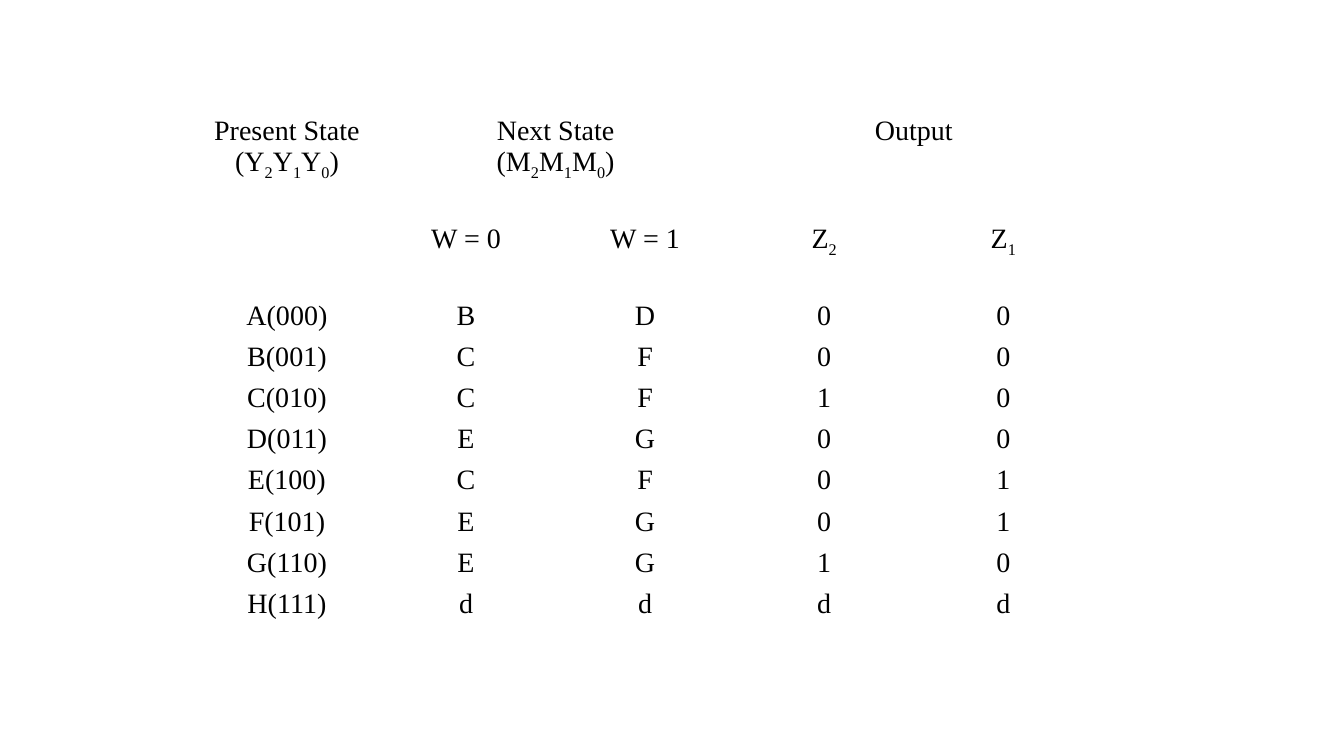
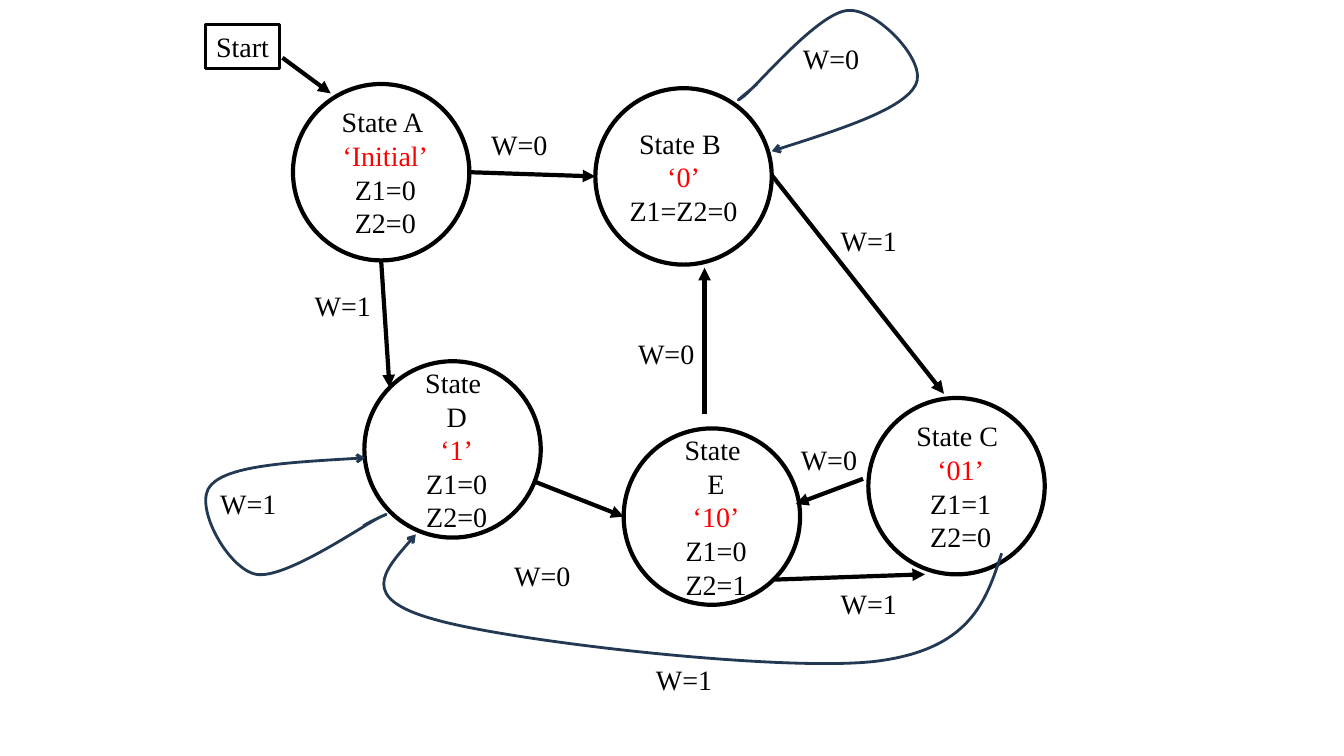
import lxml.etree
import pptx
import pptx.dml.color
import pptx.enum.shapes
import pptx.enum.text
import pptx.oxml.ns
import pptx.util

PX = 9525  # EMU in one px
FONT = "Times New Roman"
BLACK, RED, NAVY = "000000", "FF0000", "233953"
STATE_SIZE = 168
SHAPES = pptx.enum.shapes.MSO_SHAPE
CENTER = pptx.enum.text.PP_ALIGN.CENTER
MIDDLE = pptx.enum.text.MSO_ANCHOR.MIDDLE

TABLE_ROWS = [
    [["Present State", "(Y_2Y_1Y_0)"], ["Next State", "(M_2M_1M_0)"], [], ["Output"], []],
    [[], ["W = 0"], ["W = 1"], ["Z_2"], ["Z_1"]],
] + [[[value] for value in row.split()] for row in (
    "A(000) B D 0 0",
    "B(001) C F 0 0",
    "C(010) C F 1 0",
    "D(011) E G 0 0",
    "E(100) C F 0 1",
    "F(101) E G 0 1",
    "G(110) E G 1 0",
    "H(111) d d d d",
)]
HEADER_HEIGHTS = [103, 73]
ROW_HEIGHT = 39

# left, top, left inset, lines (the quoted one is red)
STATES = [
    (279, 80, 8, ["State A ", "‘Initial’", "Z1=0", "Z2=0"]),
    (567, 84, 0, ["State B ", "‘0’", "Z1=Z2=0"]),
    (827, 379, 8, ["State C ", "‘01’", "Z1=1", "Z2=0"]),
    (347, 344, 8, ["State ", "D", "‘1’", "Z1=0", "Z2=0"]),
    (594, 408, 8, ["State ", "E", "‘10’", "Z1=0", "Z2=1"]),
]
ARROWS = [
    (269, 55, 315, 89),    # Start to A
    (447, 164, 567, 168),  # A to B
    (363, 248, 371, 369),  # A to D
    (736, 168, 899, 375),  # B to C
    (822, 456, 758, 480),  # C to E
    (510, 459, 594, 492),  # D to E
    (671, 394, 671, 255),  # E to B
    (738, 552, 881, 547),  # E to C
]
# start point, then three Bézier points for each segment
CURVES = [
    [(721, 80), (717, 84), (693, 103), (708, 92), (722, 81), (780, 11), (808, 10),
     (835, 8), (884, 59), (872, 81), (860, 104), (798, 124), (735, 144)],    # B to B
    [(346, 501), (351, 497), (379, 485), (363, 492), (346, 500), (272, 552), (244, 547),
     (217, 542), (183, 480), (201, 462), (218, 443), (283, 440), (348, 436)],  # D to D
    [(954, 527), (939, 573), (924, 619), (833, 630), (742, 640), (487, 611), (414, 590),
     (341, 570), (369, 540), (396, 509)],                                    # C to D
]
LABELS = [
    (458, 117, "W=0"), (290, 270, "W=1"), (755, 35, "W=0"), (791, 208, "W=1"),
    (598, 316, "W=0"), (753, 417, "W=0"), (791, 554, "W=1"), (480, 527, "W=0"),
    (200, 459, "W=1"), (615, 626, "W=1"),
]


def px(*lengths):
    return [pptx.util.Emu(length * PX) for length in lengths]


def color(hex_string):
    return pptx.dml.color.RGBColor.from_string(hex_string)


def add_element(parent, tag, **attributes):
    return lxml.etree.SubElement(parent, pptx.oxml.ns.qn(tag), **attributes)


def style_line(line, line_color, width):
    line.color.rgb = color(line_color)
    line.width = pptx.util.Pt(width)


def add_arrowhead(line, kind):
    add_element(line._get_or_add_ln(), "a:tailEnd", type=kind)


def style_paragraph(paragraph, text_color=BLACK):
    paragraph.alignment = CENTER
    paragraph.font.name = FONT
    paragraph.font.size = pptx.util.Pt(20)
    paragraph.font.color.rgb = color(text_color)


def paragraphs_for(text_frame, lines):
    """Pair each line of text with a paragraph."""
    for index, line in enumerate(lines):
        yield line, text_frame.add_paragraph() if index else text_frame.paragraphs[0]


def write_lines(text_frame, lines):
    text_frame.word_wrap = False
    for line, paragraph in paragraphs_for(text_frame, lines):
        paragraph.text = line
        paragraph.line_spacing = pptx.util.Pt(24)
        style_paragraph(paragraph, RED if line.startswith("‘") else BLACK)


def write_subscripted(paragraph, text):
    """Write text in which an underscore lowers the next character."""
    first, *pieces = text.split("_")
    paragraph.add_run().text = first
    for piece in pieces:
        subscript = paragraph.add_run()
        subscript.text = piece[0]
        subscript._r.get_or_add_rPr().set("baseline", "-25000")
        if piece[1:]:
            paragraph.add_run().text = piece[1:]


def add_state_table(slide):
    heights = HEADER_HEIGHTS + [ROW_HEIGHT] * (len(TABLE_ROWS) - len(HEADER_HEIGHTS))
    table = slide.shapes.add_table(
        len(TABLE_ROWS), 5, *px(188, 105, 853, sum(heights))).table
    table.first_row = table.horz_banding = False
    for row, height, values in zip(table.rows, heights, TABLE_ROWS):
        row.height = px(height)[0]
        for cell, lines in zip(row.cells, values):
            cell.fill.background()
            style_paragraph(cell.text_frame.paragraphs[0])
            for line, paragraph in paragraphs_for(cell.text_frame, lines):
                write_subscripted(paragraph, line)
                style_paragraph(paragraph)
    # Header spans
    table.cell(0, 0).merge(table.cell(1, 0))
    table.cell(0, 1).merge(table.cell(0, 2))
    table.cell(0, 3).merge(table.cell(0, 4))


def add_outlined(slide, preset, box, line_width, lines, left_inset=0):
    shape = slide.shapes.add_shape(preset, *px(*box))
    shape.shadow.inherit = False
    shape.fill.background()
    style_line(shape.line, BLACK, line_width)
    frame = shape.text_frame
    frame.margin_left = px(left_inset)[0]
    frame.margin_top = frame.margin_right = frame.margin_bottom = 0
    frame.vertical_anchor = MIDDLE
    write_lines(frame, lines)


def add_arrow(slide, *ends):
    arrow = slide.shapes.add_connector(pptx.enum.shapes.MSO_CONNECTOR.STRAIGHT, *px(*ends))
    style_line(arrow.line, BLACK, 3)
    add_arrowhead(arrow.line, "triangle")
    add_element(arrow._element.spPr, "a:effectLst")


def add_curve(slide, points):
    builder = slide.shapes.build_freeform(*points[0], scale=PX)
    builder.add_line_segments(points[1:], close=False)
    curve = builder.convert_to_shape()
    curve.shadow.inherit = False
    curve.fill.background()
    style_line(curve.line, NAVY, 2)
    add_arrowhead(curve.line, "arrow")
    # Turn every three straight segments into one Bézier segment
    outline = next(curve._element.iter(pptx.oxml.ns.qn("a:path")))
    segments = outline.findall(pptx.oxml.ns.qn("a:lnTo"))
    for start in range(0, len(segments), 3):
        bezier = add_element(outline, "a:cubicBezTo")
        for segment in segments[start:start + 3]:
            bezier.append(segment[0])
            outline.remove(segment)


def add_label(slide, left, top, text):
    label = slide.shapes.add_textbox(*px(left, top, 73, 42))
    write_lines(label.text_frame, [text])


def add_state_diagram(slide):
    add_outlined(slide, SHAPES.RECTANGLE, (196, 23, 70, 42), 2.25, ["Start"])
    for left, top, inset, lines in STATES:
        add_outlined(slide, SHAPES.OVAL, (left, top, STATE_SIZE, STATE_SIZE), 3, lines, inset)
    for ends in ARROWS:
        add_arrow(slide, *ends)
    for points in CURVES:
        add_curve(slide, points)
    for label in LABELS:
        add_label(slide, *label)


def main():
    presentation = pptx.Presentation()
    presentation.slide_width, presentation.slide_height = px(1280, 720)
    blank = presentation.slide_layouts[6]
    for build in (add_state_table, add_state_diagram):
        build(presentation.slides.add_slide(blank))
    presentation.save("out.pptx")


if __name__ == "__main__":
    main()
